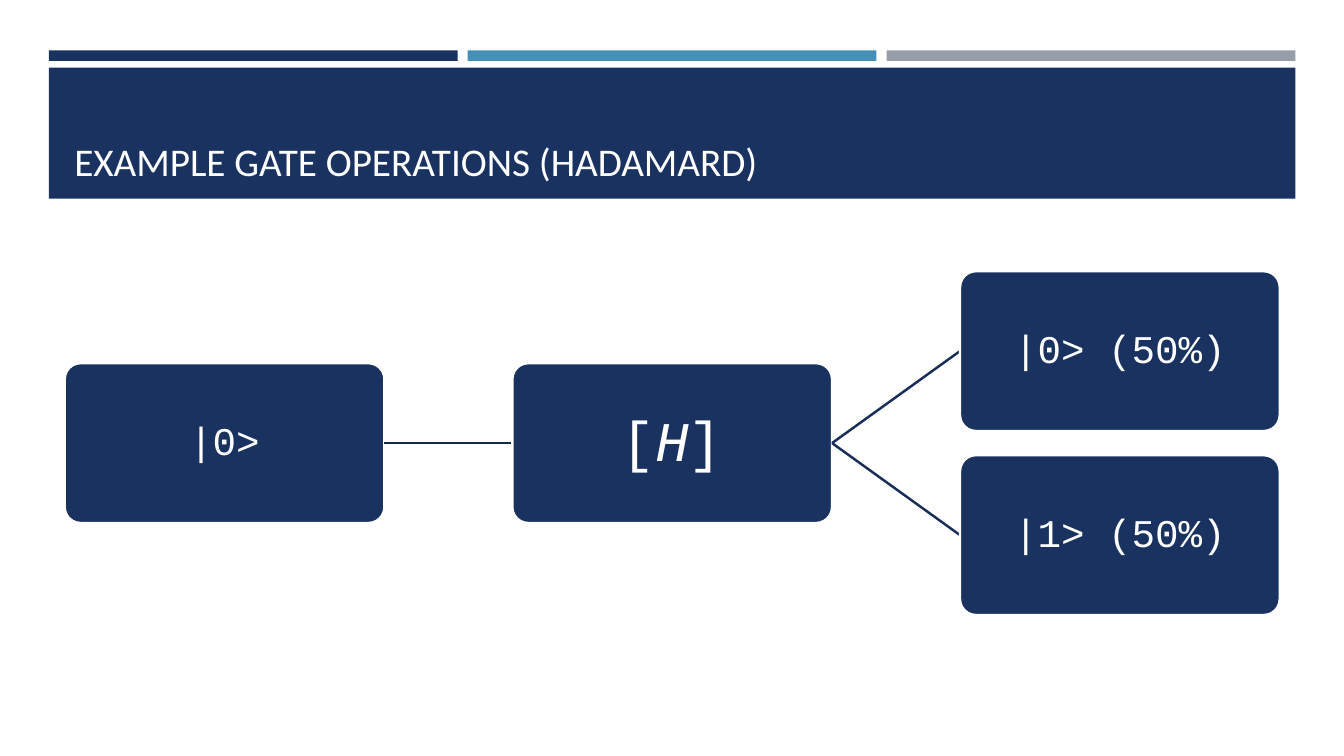
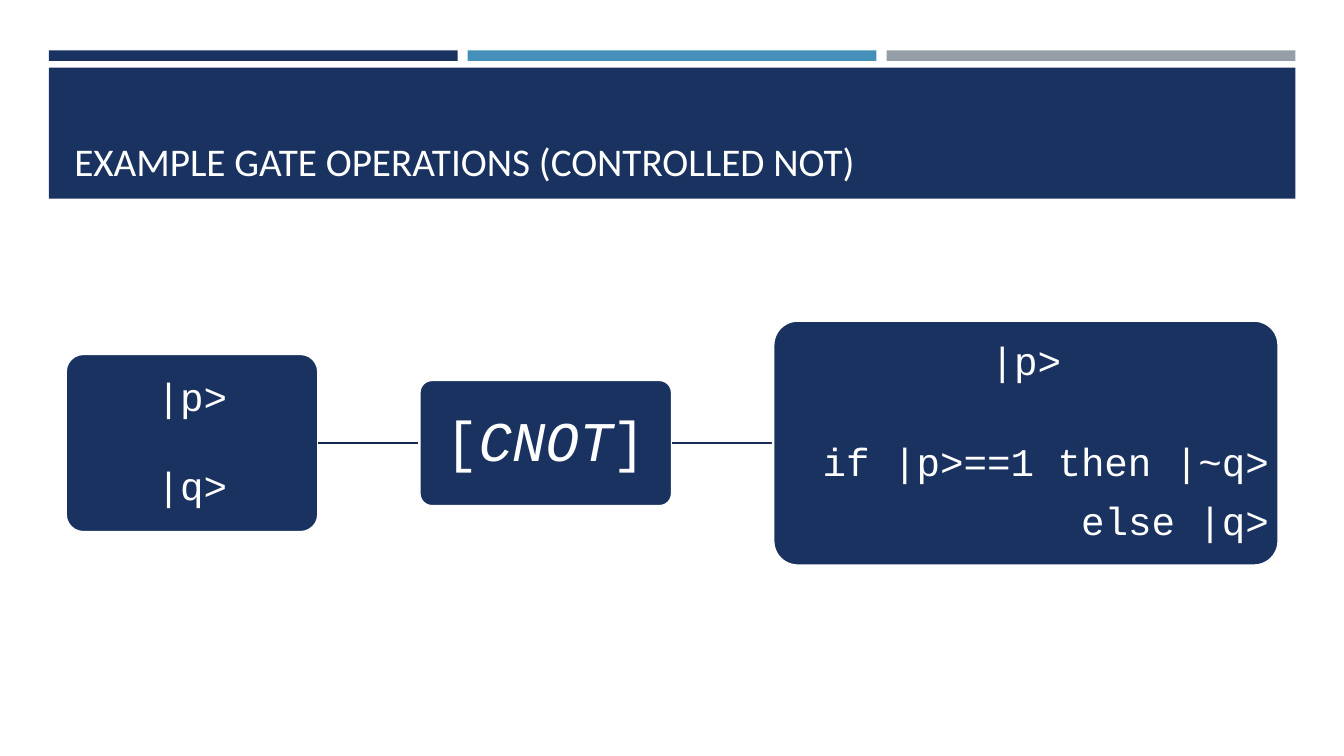
from lxml import etree
from pptx import Presentation
from pptx.dml.color import RGBColor
from pptx.enum.shapes import MSO_CONNECTOR, MSO_SHAPE
from pptx.enum.text import MSO_ANCHOR, PP_ALIGN
from pptx.oxml.ns import qn
from pptx.util import Pt

RECTANGLE = MSO_SHAPE.RECTANGLE
ROUNDED = MSO_SHAPE.ROUNDED_RECTANGLE
STRAIGHT = MSO_CONNECTOR.STRAIGHT
CENTER, RIGHT = PP_ALIGN.CENTER, PP_ALIGN.RIGHT
MIDDLE, BOTTOM = MSO_ANCHOR.MIDDLE, MSO_ANCHOR.BOTTOM
LEFT_SIDE, RIGHT_SIDE = 1, 3

COLORS = {
    "navy": "1A3260",
    "blue": "4590B8",
    "gray": "969FA7",
    "white": "FFFFFF",
    "input_link": "15284D",
    "output_link": "182D57",
}
BAND_LEFT, BAND_WIDTH, BAR_GAP = 34.9, 890.4, 7.2
FLOW_MIDDLE = 316.5


class Deck:
    """Shared style and the slide being built."""

    def __init__(self):
        self.presentation = Presentation()
        self.presentation.slide_width = Pt(960)
        self.presentation.slide_height = Pt(540)
        self.slide = None

    def color(self, name):
        return RGBColor.from_string(COLORS[name])

    def style(self, run, font, size, italic=False):
        run.font.name = font
        run.font.size = Pt(size)
        run.font.italic = italic
        run.font.color.rgb = self.color("white")

    def block(self, preset, left, top, width, height, fill):
        block = self.slide.shapes.add_shape(
            preset, Pt(left), Pt(top), Pt(width), Pt(height))
        block.shadow.inherit = False
        block.fill.solid()
        block.fill.fore_color.rgb = self.color(fill)
        block.line.fill.background()
        return block

    def start(self, heading):
        layout = self.presentation.slide_layouts[6]
        self.slide = self.presentation.slides.add_slide(layout)
        bar_width = (BAND_WIDTH - 2 * BAR_GAP) / 3
        for column, fill in enumerate(("navy", "blue", "gray")):
            left = BAND_LEFT + column * (bar_width + BAR_GAP)
            self.block(RECTANGLE, left, 36, bar_width, 7.5, fill)
        self.block(RECTANGLE, BAND_LEFT, 48.4, BAND_WIDTH, 93.6, "navy")
        title = self.slide.shapes.add_textbox(Pt(46), Pt(55.4), Pt(868), Pt(80))
        frame = title.text_frame
        frame.word_wrap = True
        frame.vertical_anchor = BOTTOM
        frame.text = heading
        self.style(frame.paragraphs[0].runs[0], "Calibri", 28)

    def link(self, source, color):
        link = self.slide.shapes.add_connector(STRAIGHT, 0, 0, 0, 0)
        link.begin_connect(source, RIGHT_SIDE)
        link.line.color.rgb = self.color(color)
        link.line.width = Pt(1.75)
        etree.SubElement(link._element.spPr, qn("a:effectLst"))
        return link

    def node(self, left, width, height, middle=FLOW_MIDDLE,
             source=None, link_color="output_link"):
        link = self.link(source, link_color) if source else None
        node = self.block(
            ROUNDED, left, middle - height / 2, width, height, "navy")
        node.adjustments[0] = 0.1
        node.line.color.rgb = self.color("white")
        node.line.width = Pt(1.75)
        frame = node.text_frame
        frame.word_wrap = True
        frame.vertical_anchor = MIDDLE
        frame.margin_left = frame.margin_right = Pt(1.75)
        frame.margin_top = frame.margin_bottom = Pt(1.75)
        if link:
            link.end_connect(node, LEFT_SIDE)
        return node

    def states(self, node, *lines):
        frame = node.text_frame
        frame.text = "\n".join(text for text, _, _ in lines)
        for paragraph, (_, align, gap) in zip(frame.paragraphs, lines):
            paragraph.alignment = align
            paragraph.line_spacing = 0.9
            paragraph.space_before = Pt(gap)
            self.style(paragraph.runs[0], "Courier New", 28)

    def gate(self, node, symbol):
        paragraph = node.text_frame.paragraphs[0]
        paragraph.alignment = CENTER
        paragraph.line_spacing = 0.9
        for text in ("[", symbol, "]"):
            run = paragraph.add_run()
            run.text = text
            self.style(run, "Courier New", 40, italic=text == symbol)


def hadamard(deck):
    deck.start("EXAMPLE GATE OPERATIONS (HADAMARD)")
    left, width, height = 46.2, 228.4, 114.2
    step = 1.4 * width
    qubit = deck.node(left, width, height)
    deck.states(qubit, ("|0>", CENTER, 0))
    gate = deck.node(left + step, width, height,
                     source=qubit, link_color="input_link")
    deck.gate(gate, "H")
    for outcome, offset in (("|0> (50%)", -65.7), ("|1> (50%)", 65.7)):
        result = deck.node(left + 2 * step, width, height,
                           FLOW_MIDDLE + offset, source=gate)
        deck.states(result, (outcome, CENTER, 0))


def controlled_not(deck):
    deck.start("EXAMPLE GATE OPERATIONS (CONTROLLED NOT)")
    left, width = 46.9, 180.5
    step = 1.4 * width
    qubits = deck.node(left, width, 127.4)
    deck.states(qubits, ("|p>", CENTER, 0), ("|q>", CENTER, 33))
    gate = deck.node(left + step, width, 90.2,
                     source=qubits, link_color="input_link")
    deck.gate(gate, "CNOT")
    result = deck.node(left + 2 * step, 2 * width, 175, source=gate)
    deck.states(result, ("|p>", CENTER, 0),
                ("if |p>==1 then |~q>", RIGHT, 41.5),
                ("else |q>", RIGHT, 12.2))


def main():
    deck = Deck()
    hadamard(deck)
    controlled_not(deck)
    deck.presentation.save("out.pptx")


if __name__ == "__main__":
    main()
